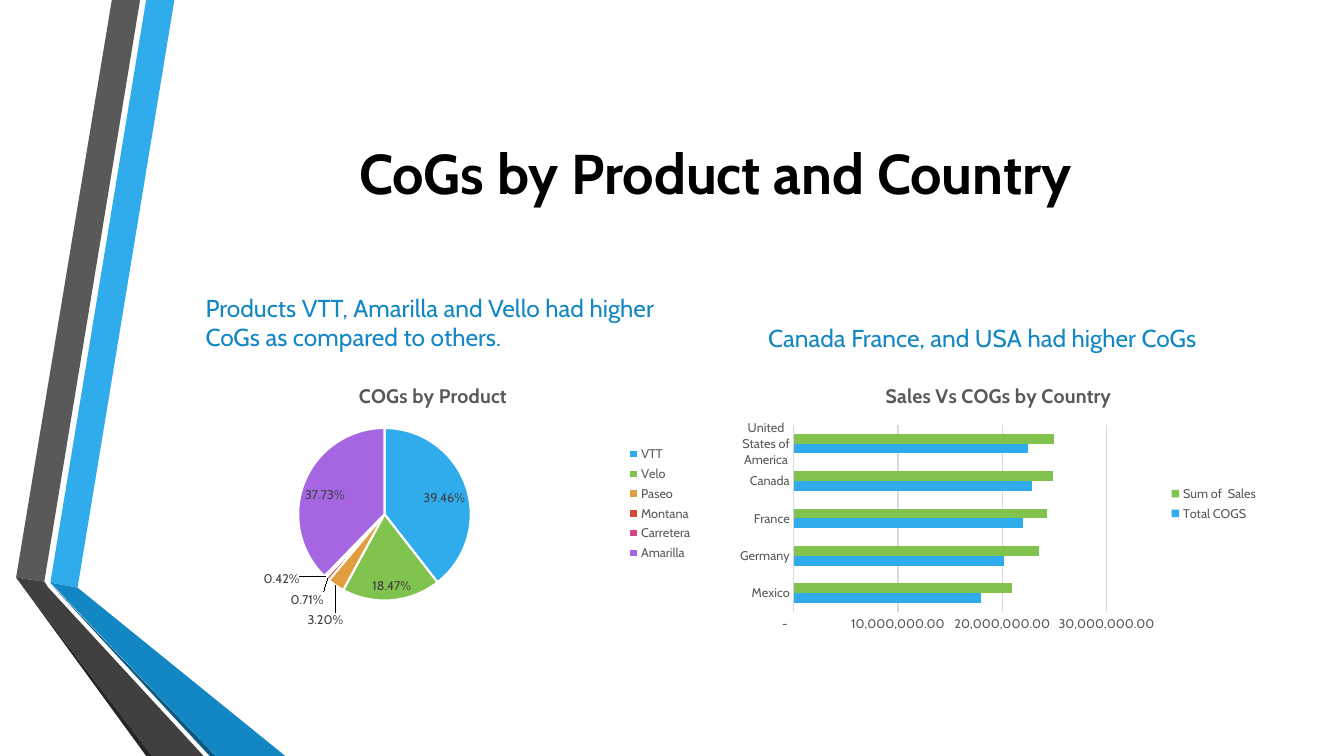
import pptx
import pptx.chart.data
import pptx.dml.color
import pptx.enum.chart
import pptx.enum.text
import pptx.oxml
import pptx.oxml.ns
import pptx.util
from pptx.util import Inches

FONT = "Cabin"
BLUE, GREEN, DEEP_BLUE = "30ACEC", "80C34F", "1287C3"
GREY, DARK, RULE = "595959", "404040", "D9D9D9"
PERCENT = "0.00%"
ACCOUNTING = '_(* #,##0.00_);_(* \\(#,##0.00\\);_(* "-"??_);_(@_)'
PRODUCTS = [("VTT", 0.3946, BLUE), ("Velo", 0.1847, GREEN),
            ("Paseo", 0.032, "E29D3E"), ("Montana", 0.0071, "D64A3B"),
            ("Carretera", 0.0042, "D64787"), ("Amarilla", 0.3773, "A666E1")]
COUNTRIES = ["Mexico", "Germany", "France", "Canada", "United States of America"]
COUNTRY_SERIES = [
    ("Total COGS", [18000000, 20200000, 22000000, 22900000, 22500000], BLUE),
    ("Sum of  Sales", [20900000, 23500000, 24300000, 24900000, 25000000], GREEN)]
# Shift of each small slice's label, as fractions of the chart
LABEL_SHIFTS = {2: (0.02, 0.08), 3: (0, 0.03), 4: (-0.04, -0.04)}
RIBBONS = [
    (BLUE, [(0.5, 5.78), (0.77, 5.83), (1.73, 0), (1.45, 0)]),
    (GREY, [(1.39, 0), (1.11, 0), (0.16, 5.73), (0.44, 5.77)]),
    ("262626", [(0.16, 5.73), (1.45, 7.5), (1.51, 7.5)]),
    ("0C5A82", [(0.5, 5.79), (2.08, 7.5), (2.14, 7.5)]),
    (DEEP_BLUE, [(0.5, 5.78), (2.14, 7.5), (2.83, 7.5), (0.77, 5.83)]),
    (DARK, [(2.02, 7.5), (0.48, 5.83), (0.44, 5.77), (0.16, 5.73), (1.51, 7.5)])]


def rgb(value):
    return pptx.dml.color.RGBColor.from_string(value)


def set_font(font, size, color, bold=False):
    font.name, font.size, font.bold = FONT, pptx.util.Pt(size), bold
    font.color.rgb = rgb(color)


def paint(fmt, color):
    fmt.fill.solid()
    fmt.fill.fore_color.rgb = rgb(color)


def chart_xml(text):
    return pptx.oxml.parse_xml(text.replace(
        ">", " " + pptx.oxml.ns.nsdecls("c", "a") + ">", 1))


def layout_xml(**values):
    parts = "".join(f'<c:{k} val="{v}"/>' for k, v in values.items())
    return f"<c:layout><c:manualLayout>{parts}</c:manualLayout></c:layout>"


def add_ribbons(s):
    for color, points in RIBBONS:
        points = [(Inches(x), Inches(y)) for x, y in points]
        builder = s.shapes.build_freeform(*points[0])
        builder.add_line_segments(points[1:], close=True)
        sp = builder.convert_to_shape()
        sp.shadow.inherit = False
        paint(sp, color)
        sp.line.fill.background()


def add_text(s, box, text, size, color, anchor, bold=False, align=None):
    tf = s.shapes.add_textbox(*map(Inches, box)).text_frame
    tf.word_wrap = True
    tf.vertical_anchor = anchor
    p = tf.paragraphs[0]
    p.text, p.alignment = text, align
    set_font(p.font, size, color, bold)


def add_chart(s, box, kind, title, categories, series, plot_box):
    """Add a titled chart with a right legend; plot_box is x, y, w, h in fractions."""
    data = pptx.chart.data.CategoryChartData()
    data.categories = categories
    for name, values in series:
        data.add_series(name, values)
    chart = s.shapes.add_chart(kind, *map(Inches, box), data).chart
    set_font(chart.font, 10, "000000")
    p = chart.chart_title.text_frame.paragraphs[0]
    p.text = title
    set_font(p.font, 14, GREY, True)
    chart.has_legend = True
    chart.legend.position = pptx.enum.chart.XL_LEGEND_POSITION.RIGHT
    chart.legend.include_in_layout = False
    set_font(chart.legend.font, 9, GREY)
    area = chart._chartSpace.chart.plotArea
    for old in area.findall(pptx.oxml.ns.qn("c:layout")):
        area.remove(old)
    area.insert(0, chart_xml(layout_xml(
        layoutTarget="inner", xMode="edge", yMode="edge",
        **dict(zip("xywh", plot_box)))))
    return chart


def add_product_pie(s, box):
    names, shares, colors = zip(*PRODUCTS)
    chart = add_chart(s, box, pptx.enum.chart.XL_CHART_TYPE.PIE,
                      "COGs by Product", names, [("Series 1", shares)],
                      (0.25, 0.22, 0.32, 0.64))
    plot = chart.plots[0]
    plot.vary_by_categories = True
    pie = plot.series[0]
    best_fit = pptx.enum.chart.XL_LABEL_POSITION.BEST_FIT
    labels = pie.data_labels
    labels.show_value = True
    labels.number_format, labels.number_format_is_linked = PERCENT, False
    labels.position = best_fit
    set_font(labels.font, 9, DARK)
    for i, color in enumerate(colors):
        fmt = pie.points[i].format
        paint(fmt, color)
        fmt.line.color.rgb = rgb("FFFFFF")
        fmt.line.width = pptx.util.Pt(1.5)
    for i, (dx, dy) in LABEL_SHIFTS.items():
        label = pie.points[i].data_label
        set_font(label.font, 9, DARK)
        label.position = best_fit
        dlbl = label._dLbl
        dlbl.insert(1, chart_xml(layout_xml(x=dx, y=dy)))
        dlbl.insert(2, chart_xml(
            f'<c:numFmt formatCode="{PERCENT}" sourceLinked="0"></c:numFmt>'))
    element = labels._element
    for old in element.findall(pptx.oxml.ns.qn("c:showLeaderLines")):
        element.remove(old)
    element.append(chart_xml('<c:showLeaderLines val="1"></c:showLeaderLines>'))


def add_country_bars(s, box):
    chart = add_chart(s, box, pptx.enum.chart.XL_CHART_TYPE.BAR_CLUSTERED,
                      "Sales Vs COGs by Country", COUNTRIES,
                      [row[:2] for row in COUNTRY_SERIES],
                      (0.12, 0.21, 0.58, 0.69))
    plot = chart.plots[0]
    plot.vary_by_categories = False
    plot.gap_width, plot.overlap = 182, 0
    for bars, (_, _, color) in zip(plot.series, COUNTRY_SERIES):
        paint(bars.format, color)
    cat, val = chart.category_axis, chart.value_axis
    for axis in (cat, val):
        axis.major_tick_mark = pptx.enum.chart.XL_TICK_MARK.NONE
        set_font(axis.tick_labels.font, 9, GREY)
    val.minimum_scale, val.maximum_scale, val.major_unit = 0, 30000000, 10000000
    val.has_major_gridlines = True
    val.format.line.fill.background()
    val.tick_labels.number_format = ACCOUNTING
    val.tick_labels.number_format_is_linked = False
    for line in (cat.format.line, val.major_gridlines.format.line):
        line.color.rgb = rgb(RULE)
        line.width = pptx.util.Pt(0.75)


def build_slide(prs):
    s = prs.slides.add_slide(prs.slide_layouts[6])
    anchors = pptx.enum.text.MSO_ANCHOR
    add_ribbons(s)
    add_text(s, (1.62, 0.75, 10.96, 1.92), "CoGs by Product and Country", 40,
             "000000", anchors.MIDDLE, True, pptx.enum.text.PP_ALIGN.CENTER)
    add_text(s, (1.94, 2.91, 5.04, 0.63),
             "Products VTT, Amarilla and Vello had higher CoGs as compared to others.",
             17.5, DEEP_BLUE, anchors.BOTTOM)
    add_product_pie(s, (1.62, 3.65, 5.35, 2.69))
    add_text(s, (7.52, 2.92, 5.06, 0.63), "Canada France, and USA had higher CoGs",
             17.5, DEEP_BLUE, anchors.BOTTOM)
    add_country_bars(s, (7.23, 3.65, 5.35, 2.69))


def main():
    prs = pptx.Presentation()
    prs.slide_width, prs.slide_height = Inches(13.33), Inches(7.5)
    build_slide(prs)
    prs.save("out.pptx")


if __name__ == "__main__":
    main()
